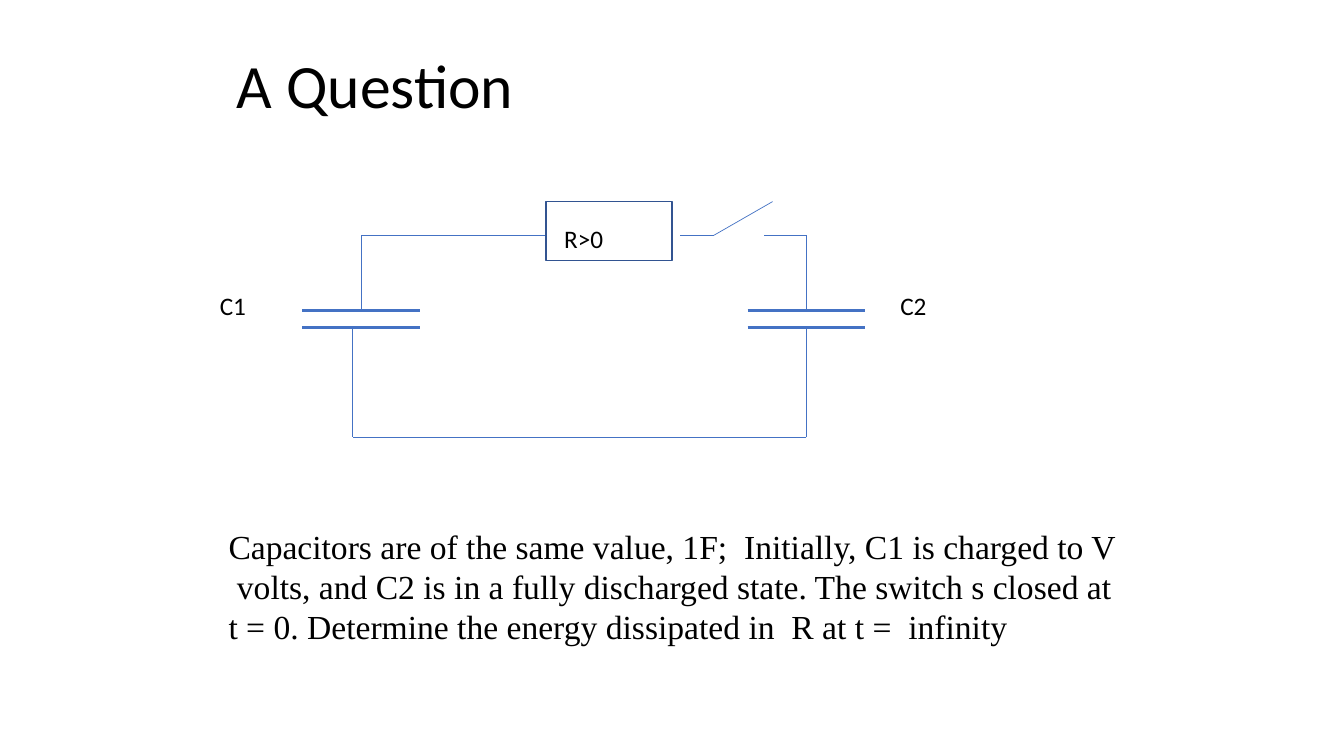
"""Build the slide that asks about two capacitors joined through a resistor."""
from itertools import pairwise

from pptx import Presentation
from pptx import util as u
from pptx.dml.color import RGBColor
from pptx.enum import shapes, text
from pptx.oxml.ns import qn
from lxml import etree

COLORS = {"text": "000000", "wire": "4472C4", "edge": "325491", "paper": "FFFFFF"}
QUESTION = [
    "Capacitors are of the same value, 1F;  Initially, C1 is charged to V  volts, "
    "and C2 is in a fully discharged state. The switch s closed at",
    "t = 0. Determine the energy dissipated in  R at t =  infinity",
]


def color(name):
    """Return the named colour."""
    return RGBColor.from_string(COLORS[name])


def add_text(page, box, lines, size=18, font="Calibri", anchor="TOP", spacing=1.0):
    """Write one paragraph per line into a text box."""
    frame = page.shapes.add_textbox(*map(u.Cm, box)).text_frame
    frame.word_wrap = True
    frame.vertical_anchor = text.MSO_ANCHOR[anchor]
    for index, line in enumerate(lines):
        para = frame.add_paragraph() if index else frame.paragraphs[0]
        para.line_spacing = spacing
        span = para.add_run()
        span.text = line
        span.font.size = u.Pt(size)
        span.font.name = font
        span.font.color.rgb = color("text")


def add_wire(page, origin, points, width=0.5):
    """Draw straight segments through points measured from the origin."""
    left, top = origin
    for (x1, y1), (x2, y2) in pairwise(points):
        ends = (left + x1, top + y1, left + x2, top + y2)
        wire = page.shapes.add_connector(shapes.MSO_CONNECTOR.STRAIGHT, *map(u.Cm, ends))
        wire.line.color.rgb = color("wire")
        wire.line.width = u.Pt(width)
        etree.SubElement(wire._element.spPr, qn("a:effectLst"))


def add_resistor(page, box):
    """Draw the resistor body and its label."""
    left, top, width, height = box
    body = page.shapes.add_shape(shapes.MSO_SHAPE.RECTANGLE, *map(u.Cm, box))
    body.shadow.inherit = False
    body.fill.solid()
    body.fill.fore_color.rgb = color("paper")
    body.line.color.rgb = color("edge")
    body.line.width = u.Pt(1)
    add_text(page, (left + 0.21, top + 0.42, 4.02, 1.02), ["R>0"])


def add_circuit(page, box):
    """Draw the capacitors, wires, switch and resistor inside the box."""
    left, top, width, height = box
    origin = (left, top)
    plate, rail, upper, lower = 2.96, 0.85, 2.75, 3.18
    right = width - 1.48
    for start in (0, width - plate):
        for level in (upper, lower):
            add_wire(page, origin, [(start, level), (start + plate, level)], width=2.25)
    add_wire(page, origin, [(1.48, upper), (1.48, rail), (6.35, rail)])
    add_wire(page, origin, [(9.53, rail), (10.37, rail), (11.85, 0)])
    add_wire(page, origin, [(11.64, rail), (right, rail), (right, upper)])
    add_wire(page, origin, [(right, lower), (right, height), (1.27, height), (1.27, lower)])
    add_resistor(page, (left + 6.14, top, 3.18, 1.48))
    add_text(page, (left - 2.33, top + 2.12, 1.9, 1.02), ["C1"])
    add_text(page, (left + 14.82, top + 2.12, 3.6, 1.02), ["C2"])


def add_question_slide(deck):
    """Add the slide with its title, circuit and question."""
    page = deck.slides.add_slide(deck.slide_layouts[6])
    add_text(page, (5.72, 0.64, 22.86, 3.18), ["A Question"],
             size=44, anchor="MIDDLE", spacing=0.9)
    add_circuit(page, (7.62, 5.08, 14.18, 5.93))
    add_text(page, (5.51, 13.12, 23.06, 3.33), QUESTION, size=24, font="Times New Roman")


def main():
    """Build and save the deck."""
    deck = Presentation()
    deck.slide_width, deck.slide_height = u.Cm(33.87), u.Cm(19.05)
    add_question_slide(deck)
    deck.save("out.pptx")


if __name__ == "__main__":
    main()
